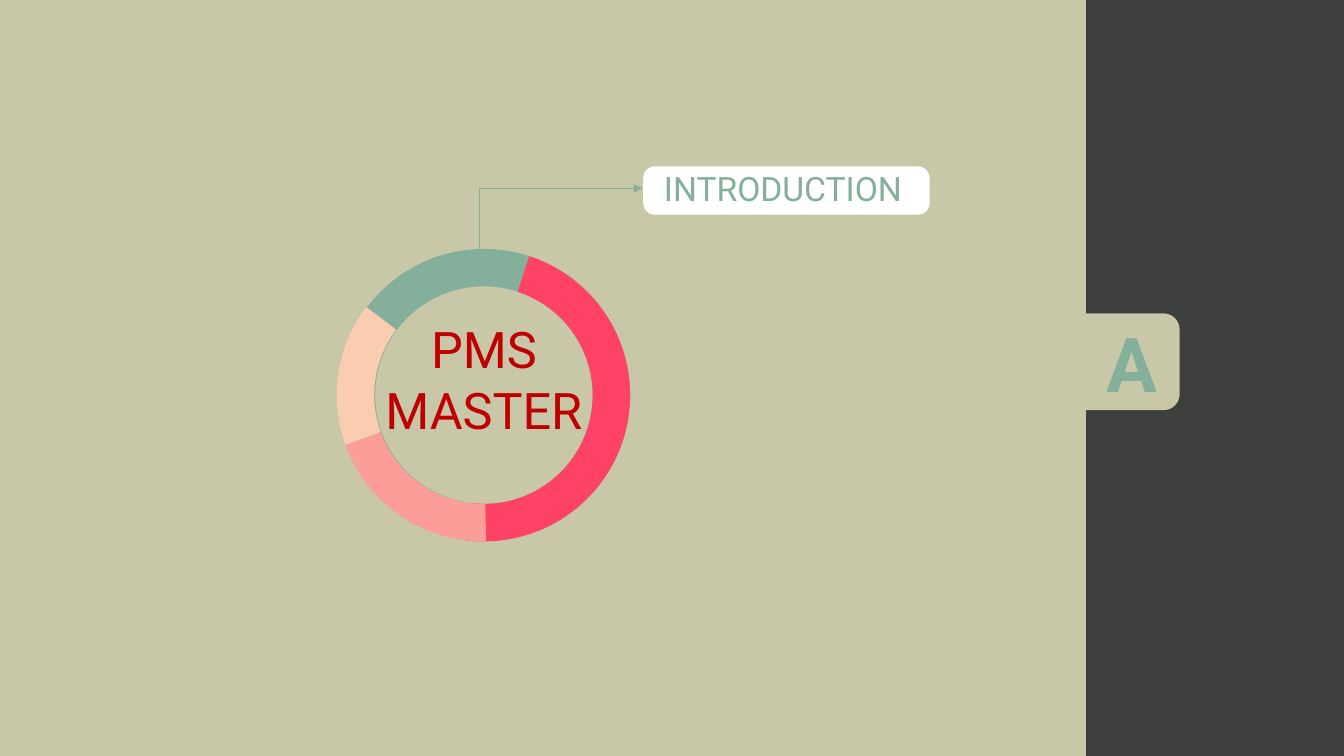
from lxml import etree
from pptx import Presentation
from pptx import util as u
from pptx.dml.color import RGBColor
from pptx.enum import shapes, text
from pptx.oxml import ns

DARK = RGBColor(0x3C, 0x3F, 0x3B)
SAND = RGBColor(0xC8, 0xC7, 0xA8)
SAGE = RGBColor(0x84, 0xAF, 0x9B)
RED = RGBColor(0xFF, 0x42, 0x66)
PINK = RGBColor(0xFC, 0x9D, 0x99)
PEACH = RGBColor(0xFA, 0xCD, 0xB0)
WHITE = RGBColor(0xFF, 0xFF, 0xFF)
TITLE_RED = RGBColor(0xC0, 0x00, 0x00)

FONT = "Roboto"
COLUMNS, ROWS = 133.3, 75  # square grid cells of a tenth of an inch
Shape = shapes.MSO_SHAPE
RING_TOP, RING_SIZE, RING_WIDTH = 24.7, 29, 0.128
# colour, left column, rotation, start angle, end angle (degrees clockwise)
SEGMENTS = [
    (RED, 33.5, 285, 3.07, 172.03),
    (PINK, 33.4, 0, 88.75, 172.03),
    (PEACH, 33.4, 45, 115.13, 172.03),
]


def cells(*counts):
    return [u.Inches(count / 10) for count in counts]


def add_block(slide, kind, box, color, adjustments=(), rotation=0):
    block = slide.shapes.add_shape(kind, *cells(*box))
    block.shadow.inherit = False
    block.fill.solid()
    block.fill.fore_color.rgb = color
    block.line.fill.background()
    block.rotation = rotation
    for index, value in enumerate(adjustments):
        block.adjustments[index] = value


def add_label(slide, wording, box, size, color, bold=False):
    frame = slide.shapes.add_textbox(*cells(*box)).text_frame
    frame.word_wrap = True
    frame.auto_size = text.MSO_AUTO_SIZE.SHAPE_TO_FIT_TEXT
    frame.text = wording
    paragraph = frame.paragraphs[0]
    paragraph.alignment = text.PP_ALIGN.CENTER
    font = paragraph.runs[0].font
    font.name, font.size, font.bold = FONT, u.Pt(size), bold
    font.color.rgb = color


def add_leader(slide, start, end, arrow=False):
    leader = slide.shapes.add_connector(
        shapes.MSO_CONNECTOR.STRAIGHT, *cells(*start, *end))
    leader.line.color.rgb = SAGE
    leader.line.width = u.Pt(0.5)
    if arrow:
        outline = leader.line._get_or_add_ln()
        etree.SubElement(outline, ns.qn("a:tailEnd"), type="triangle")
    etree.SubElement(leader._element.spPr, ns.qn("a:effectLst"))


def add_ring(slide):
    add_block(slide, Shape.DONUT, (33.5, RING_TOP, RING_SIZE, RING_SIZE),
              SAGE, [RING_WIDTH])
    for color, left, rotation, start, end in SEGMENTS:
        # Block arc angles are stored as 0.6 units per degree
        add_block(slide, Shape.BLOCK_ARC,
                  (left, RING_TOP, RING_SIZE, RING_SIZE), color,
                  [start * 0.6, end * 0.6, RING_WIDTH], rotation)


def main():
    deck = Presentation()
    deck.slide_width, deck.slide_height = cells(COLUMNS, ROWS)
    slide = deck.slides.add_slide(deck.slide_layouts[6])
    slide.background.fill.solid()
    slide.background.fill.fore_color.rgb = DARK

    # Page panel with its lettered tab
    add_block(slide, Shape.RECTANGLE, (0, 0, 107.7, ROWS), SAND)
    add_block(slide, Shape.ROUND_2_SAME_RECTANGLE, (107.4, 31.1, 9.6, 9.6),
              SAND, rotation=90)
    add_label(slide, "A", (108.6, 30.9, 7.4, 10.1), 54, SAGE, bold=True)

    # Segmented ring around the title
    add_label(slide, "PMS MASTER", (36.5, 31.1, 23, 13.1), 36, TITLE_RED)
    add_ring(slide)

    # Callout and its leader
    add_block(slide, Shape.ROUNDED_RECTANGLE, (63.8, 16.5, 28.4, 4.8),
              WHITE, [0.24])
    add_label(slide, "INTRODUCTION", (63.7, 16.2, 27.9, 5), 24, SAGE)
    corner = (47.5, 18.7)
    add_leader(slide, (47.5, 24.8), corner)
    add_leader(slide, corner, (63.7, 18.7), arrow=True)

    deck.save("out.pptx")


if __name__ == "__main__":
    main()
